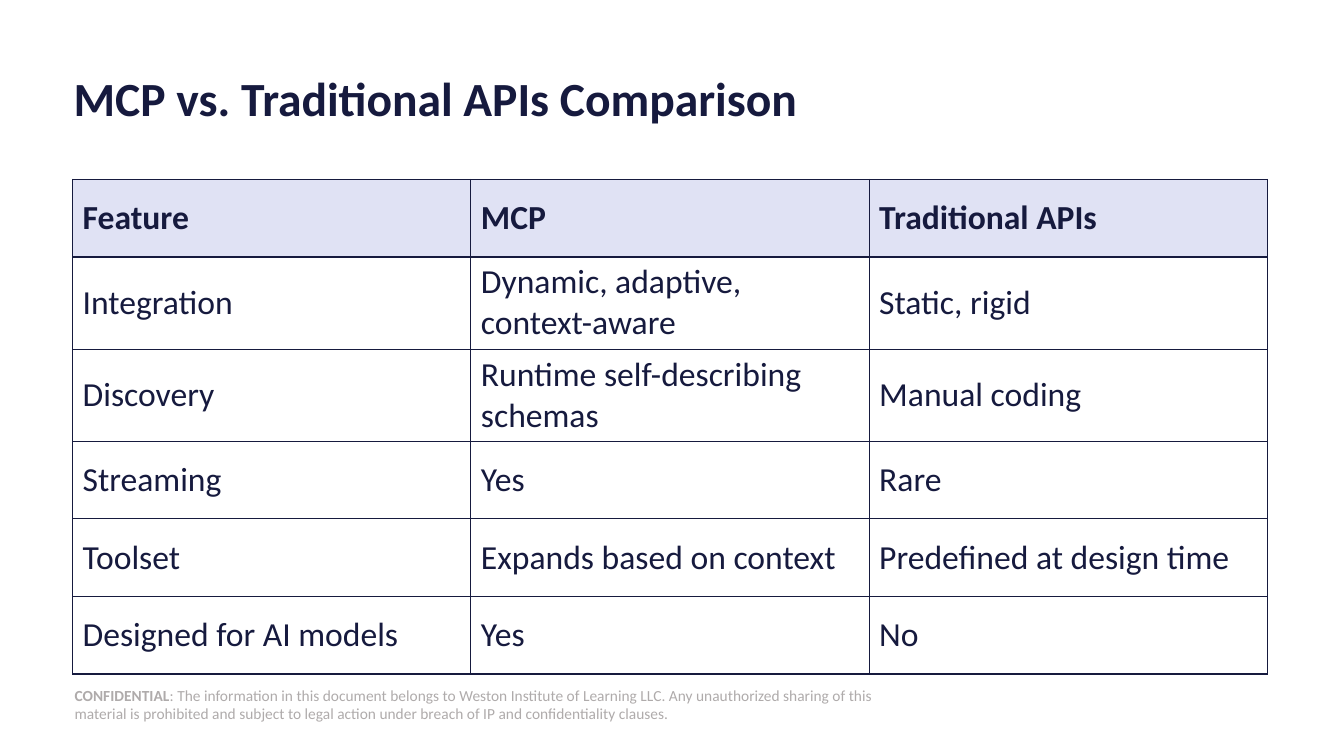
from dataclasses import dataclass

from lxml import etree
from pptx import Presentation
from pptx import util as u
from pptx.dml import color
from pptx.enum import shapes, text
from pptx.oxml import ns


@dataclass(frozen=True)
class Theme:
    font: str = "Calibri"
    navy: str = "161A3E"
    lavender: str = "E0E2F4"
    grey: str = "AFABAB"
    white: str = "FFFFFF"
    title_size: int = 34
    table_size: int = 24
    notice_size: int = 11
    border_width: int = 1


THEME = Theme()

ROWS = [
    ("Feature", "MCP", "Traditional APIs"),
    ("Integration", "Dynamic, adaptive, context-aware", "Static, rigid"),
    ("Discovery", "Runtime self-describing schemas", "Manual coding"),
    ("Streaming", "Yes", "Rare"),
    ("Toolset", "Expands based on context", "Predefined at design time"),
    ("Designed for AI models", "Yes", "No"),
]
ROW_HEIGHTS = (0.77, 0.91, 0.91, 0.77, 0.77, 0.77)
COLUMN_WIDTH = 3.95


def rgb(value):
    return color.RGBColor.from_string(value)


def add_text(para, words, *, size, ink=THEME.navy, bold=False):
    """Append one formatted span to a left-aligned paragraph."""
    para.alignment = text.PP_ALIGN.LEFT
    span = para.add_run()
    span.text = words
    span.font.name = THEME.font
    span.font.size = u.Pt(size)
    span.font.bold = bold
    span.font.color.rgb = rgb(ink)


def prepare_frame(frame):
    """Wrap and centre text vertically, with no insets."""
    frame.word_wrap = True
    frame.auto_size = text.MSO_AUTO_SIZE.NONE
    frame.vertical_anchor = text.MSO_ANCHOR.MIDDLE
    frame.margin_left = frame.margin_right = 0
    frame.margin_top = frame.margin_bottom = 0
    return frame.paragraphs[0]


def set_title(page, words):
    title = page.shapes.title
    title.left, title.top = u.Inches(0.73), u.Inches(0.61)
    title.width, title.height = u.Inches(11.84), u.Inches(0.78)
    para = prepare_frame(title.text_frame)
    para.line_spacing = 0.9
    add_text(para, words, size=THEME.title_size, bold=True)


def add_notice(page, label, words):
    box = page.shapes.add_shape(
        shapes.MSO_SHAPE.RECTANGLE,
        u.Inches(0.74), u.Inches(6.79), u.Inches(8.17), u.Inches(0.4))
    box.shadow.inherit = False
    box.fill.solid()
    box.fill.fore_color.rgb = rgb(THEME.white)
    box.line.fill.background()
    para = prepare_frame(box.text_frame)
    add_text(para, label, size=THEME.notice_size, ink=THEME.grey, bold=True)
    add_text(para, words, size=THEME.notice_size, ink=THEME.grey)


def add_borders(cell):
    properties = cell._tc.get_or_add_tcPr()
    for side in ("a:lnL", "a:lnR", "a:lnT", "a:lnB"):
        line = etree.SubElement(properties, ns.qn(side),
                                w=str(u.Pt(THEME.border_width)))
        fill = etree.SubElement(line, ns.qn("a:solidFill"))
        etree.SubElement(fill, ns.qn("a:srgbClr"), val=THEME.navy)


def fill_cell(cell, words, is_header):
    cell.vertical_anchor = text.MSO_ANCHOR.MIDDLE
    cell.margin_left = cell.margin_right = u.Inches(0.1)
    cell.margin_top = cell.margin_bottom = u.Inches(0.05)
    # Borders must come before the fill in the cell properties
    add_borders(cell)
    if is_header:
        cell.fill.solid()
        cell.fill.fore_color.rgb = rgb(THEME.lavender)
    else:
        cell.fill.background()
    add_text(cell.text_frame.paragraphs[0], words,
             size=THEME.table_size, bold=is_header)


def add_comparison(page, rows):
    columns = len(rows[0])
    table = page.shapes.add_table(
        len(rows), columns, u.Inches(0.72), u.Inches(1.78),
        u.Inches(COLUMN_WIDTH * columns), u.Inches(sum(ROW_HEIGHTS))).table
    table.horz_banding = False
    for column in table.columns:
        column.width = u.Inches(COLUMN_WIDTH)
    for r, (row, height) in enumerate(zip(rows, ROW_HEIGHTS)):
        table.rows[r].height = u.Inches(height)
        for c, words in enumerate(row):
            fill_cell(table.cell(r, c), words, is_header=r == 0)


def main():
    deck = Presentation()
    deck.slide_width, deck.slide_height = u.Inches(13.33), u.Inches(7.5)
    page = deck.slides.add_slide(deck.slide_layouts.get_by_name("Title Only"))

    # Confidentiality notice at the foot
    add_notice(
        page, "CONFIDENTIAL",
        ": The information in this document belongs to Weston Institute of "
        "Learning LLC. Any unauthorized sharing of this material is "
        "prohibited and subject to legal action under breach of IP and "
        "confidentiality clauses.")

    # Title and comparison table
    set_title(page, "MCP vs. Traditional APIs Comparison")
    add_comparison(page, ROWS)

    deck.save("out.pptx")


if __name__ == "__main__":
    main()
